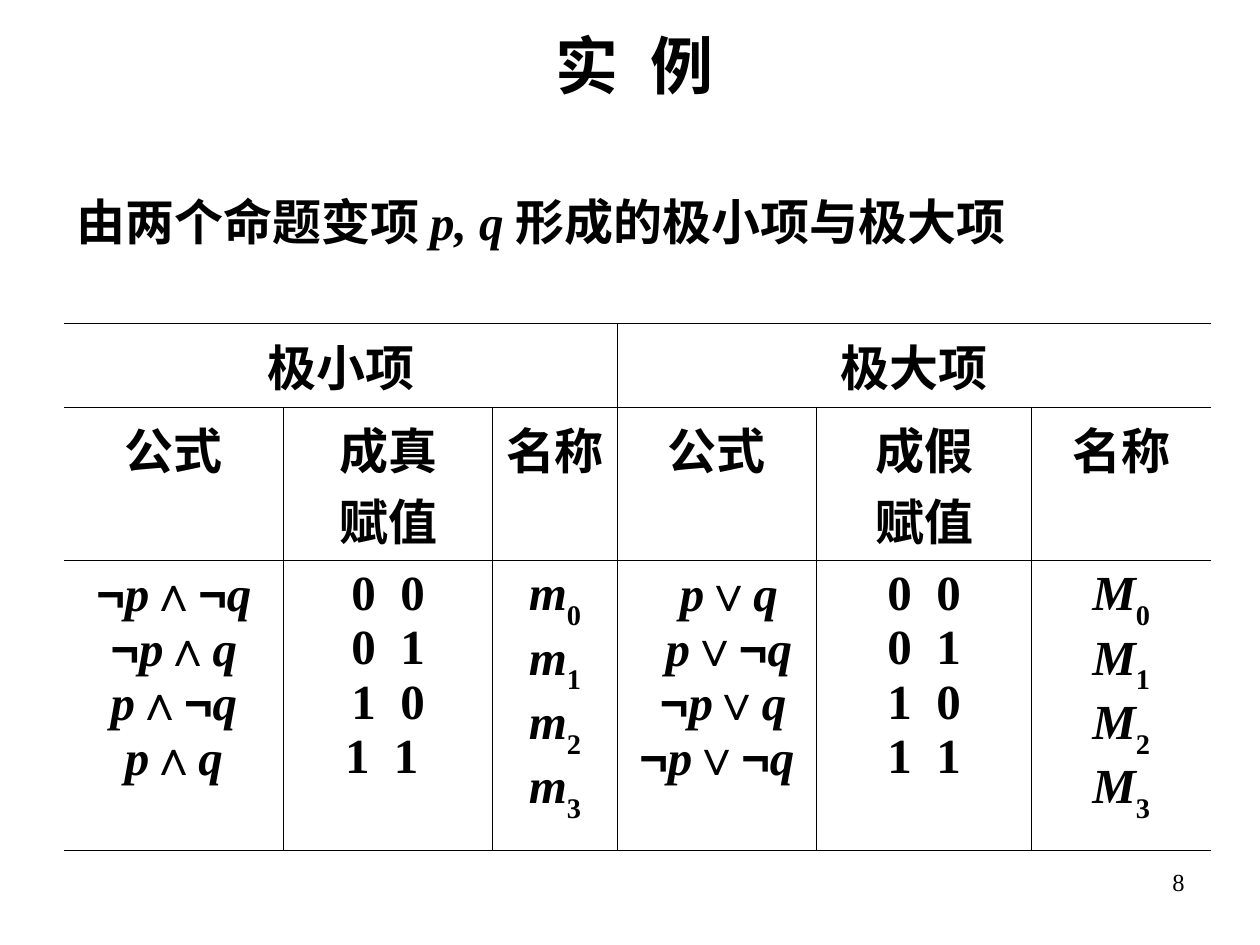
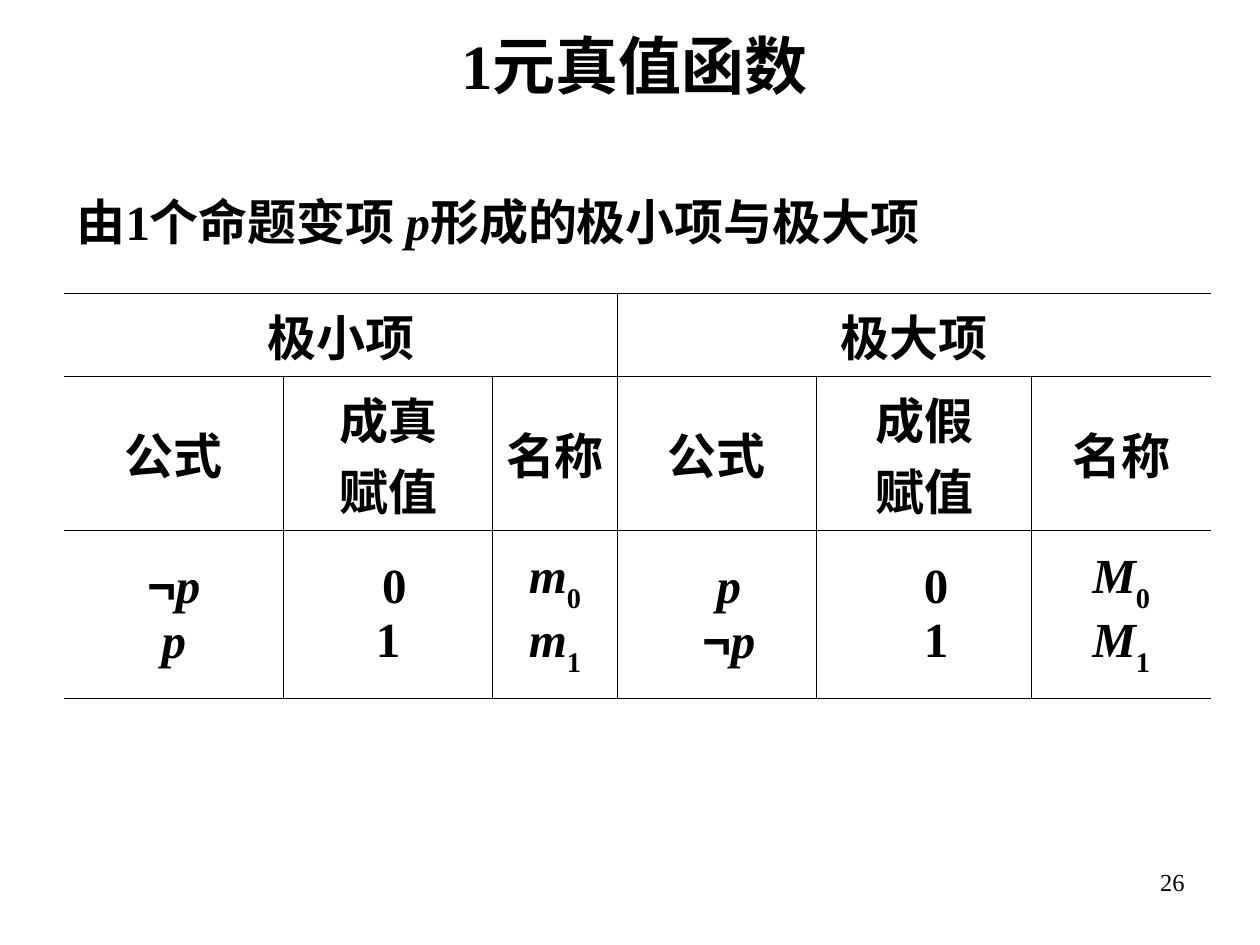
"""Build two slides on minterms and maxterms of propositional variables."""
from itertools import groupby

from lxml.etree import SubElement
from pptx import Presentation
from pptx.dml.color import RGBColor
from pptx.enum.text import MSO_ANCHOR as Anchor, PP_ALIGN as Align
from pptx.oxml.ns import qn
from pptx.util import Inches, Pt

BLACK = RGBColor(0, 0, 0)
WHITE = RGBColor(255, 255, 255)
SANS, SERIF, CHINESE = "Arial", "Times New Roman", "Noto Sans CJK SC"
COLUMN_WIDTHS = [1.74, 1.66, 0.99, 1.58, 1.71, 1.42]
HEADINGS = ["公式", "成真\n赋值", "名称", "公式", "成假\n赋值", "名称"]
SECOND_GROUP = 3

SLIDES = [
    {
        "title": "实 例", "lead": "由两个命题变项 p, q 形成的极小项与极大项",
        "font": SANS, "number": "8", "top": 2.57, "last_row": 2.3, "anchor": Anchor.TOP,
        "terms": ["¬p∧¬q\n¬p∧q\np∧¬q\np∧q", "0 0\n0 1\n1 0\n1 1", "m0\nm1\nm2\nm3",
                  "p∨q\np∨¬q\n¬p∨q\n¬p∨¬q", "0 0\n0 1\n1 0\n1 1", "M0\nM1\nM2\nM3"],
        "shifts": {1: [0, 0, 0, -0.1], 3: [0.19, 0.19, 0.1, 0]},
    },
    {
        "title": "1元真值函数", "lead": "由1个命题变项 p形成的极小项与极大项",
        "font": SERIF, "number": "26", "top": 2.33, "last_row": 1.33, "anchor": Anchor.MIDDLE,
        "terms": ["¬p\np", "0\n1", "m0\nm1", "p\n¬p", "0\n1", "M0\nM1"],
        "shifts": {1: [0.1, 0], 3: [0.19, 0.19], 4: [0.19, 0.19]},
    },
]


def char_kind(char):
    for kind, members in (("variable", "pqmM,"), ("operator", "¬∧∨"), ("space", " ")):
        if char in members:
            return kind
    return "digit" if char.isdigit() else "words"


def write(frame, text, size, font=SERIF, align=Align.CENTER, bold=True, gap=0, shifts=()):
    frame.text = text
    for index, para in enumerate(frame.paragraphs):
        line = para.text
        para.text = ""
        para.alignment = align
        shift = shifts[index] if shifts else 0
        if shift:
            side = "marL" if shift > 0 else "marR"
            para._p.get_or_add_pPr().set(side, str(Inches(abs(shift))))
        for kind, chars in groupby(line, char_kind):
            span = para.add_run()
            span.text = "".join(chars)
            span.font.size = Pt(size)
            span.font.bold = bold
            span.font.italic = kind == "variable"
            span.font.color.rgb = BLACK
            span.font.name = {"variable": SERIF, "space": SERIF, "operator": SANS}.get(kind, font)
            properties = span._r.get_or_add_rPr()
            SubElement(properties, qn("a:ea")).set("typeface", CHINESE)
            if kind == "space" and gap:
                properties.set("spc", str(gap * 100))
            if kind == "digit" and line[0] in "mM":
                properties.set("baseline", "-30000")


deck = Presentation()
deck.slide_width, deck.slide_height = Inches(10), Inches(7.5)

for content in SLIDES:
    page = deck.slides.add_slide(deck.slide_layouts[6])
    page.background.fill.solid()
    page.background.fill.fore_color.rgb = WHITE

    for text, place, size, align, anchor, gap in (
        (content["title"], (1.69, 0.28, 6.69, 0.46), 36, Align.CENTER, Anchor.MIDDLE, 10),
        (content["lead"], (0.51, 1.47, 9, 0.58), 28, Align.JUSTIFY, Anchor.TOP, 0),
        (content["number"], (7.17, 6.83, 2.33, 0.52), 14, Align.RIGHT, Anchor.TOP, 0),
    ):
        box = page.shapes.add_textbox(*map(Inches, place))
        frame = box.text_frame
        frame.word_wrap = True
        frame.vertical_anchor = anchor
        is_number = text == content["number"]
        write(frame, text, size, SERIF if is_number else content["font"], align,
              bold=not is_number, gap=gap)

    row_heights = [0.66, 1.22, content["last_row"]]
    table = page.shapes.add_table(
        len(row_heights), len(COLUMN_WIDTHS), Inches(0.51), Inches(content["top"]),
        Inches(sum(COLUMN_WIDTHS)), Inches(sum(row_heights))).table
    table.first_row = table.horz_banding = False
    for column, width in zip(table.columns, COLUMN_WIDTHS):
        column.width = Inches(width)
    for row, height in zip(table.rows, row_heights):
        row.height = Inches(height)

    for first, name in ((0, "极小项"), (SECOND_GROUP, "极大项")):
        table.cell(0, first).merge(table.cell(0, first + 2))
        write(table.cell(0, first).text_frame, name, 28, CHINESE)
    for col, (heading, terms) in enumerate(zip(HEADINGS, content["terms"])):
        write(table.cell(1, col).text_frame, heading, 28, CHINESE)
        write(table.cell(2, col).text_frame, terms, 28, gap=7,
              shifts=content["shifts"].get(col, ()))

    for row in range(len(row_heights)):
        for col in range(len(COLUMN_WIDTHS)):
            cell = table.cell(row, col)
            cell.vertical_anchor = content["anchor"] if row else Anchor.TOP
            dividers = (SECOND_GROUP,) if row == 0 else range(1, len(COLUMN_WIDTHS))
            borders = {"L": col in dividers, "R": col + 1 in dividers, "T": True, "B": True}
            for side, shown in borders.items():
                line = SubElement(cell._tc.get_or_add_tcPr(), qn(f"a:ln{side}"))
                line.set("w", str(Pt(0.45)))
                fill = SubElement(line, qn("a:solidFill" if shown else "a:noFill"))
                if shown:
                    SubElement(fill, qn("a:srgbClr")).set("val", str(BLACK))
            cell.fill.background()

deck.save("out.pptx")
